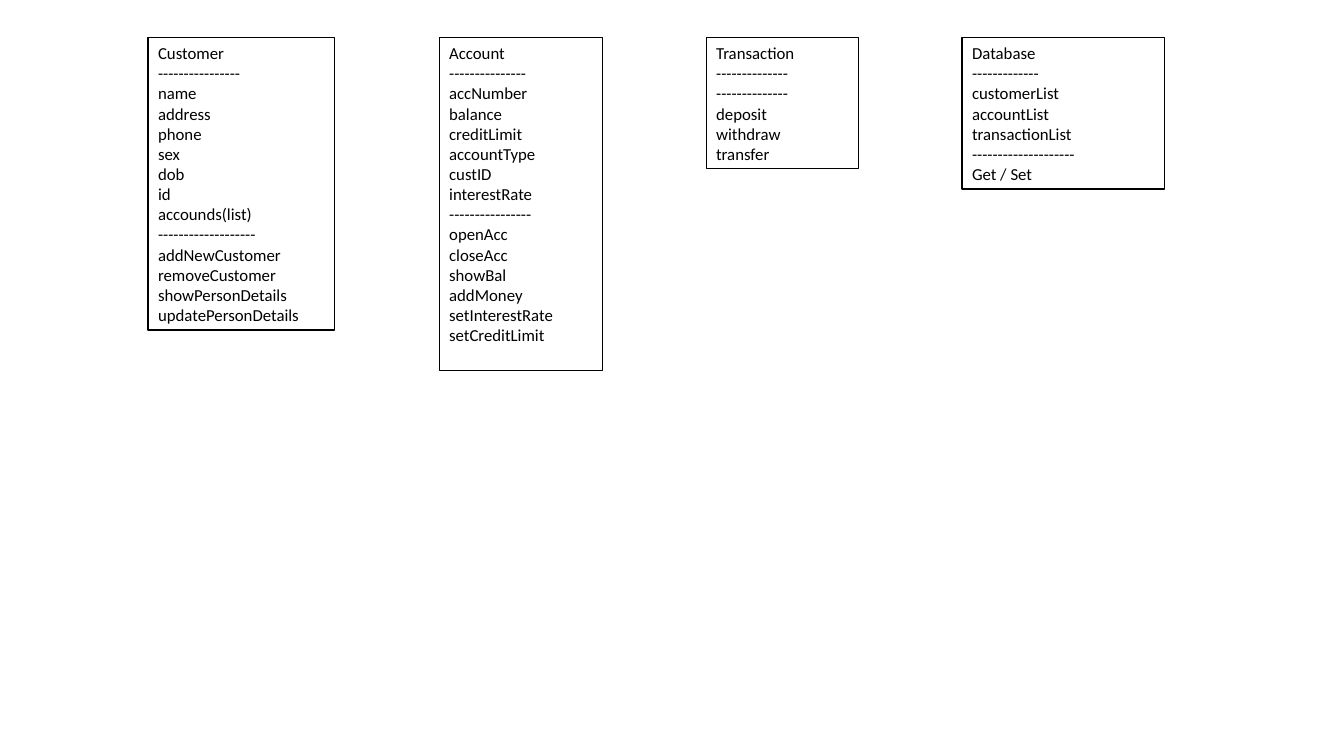
from dataclasses import dataclass
from pptx import Presentation
from pptx import util as u
from pptx.dml.color import RGBColor
from pptx.enum import shapes, text

# Each class: left, width, spare rows, then name, fields and methods.
# A number stands for a rule of that many dashes.
CLASSES = [
    (1.47, 1.85, 0, [
        "Customer", 16,
        "name", "address", "phone", "sex", "dob", "id", "accounds(list)", 19,
        "addNewCustomer", "removeCustomer", "showPersonDetails",
        "updatePersonDetails"]),
    (4.36, 1.62, 1, [
        "Account", 15,
        "accNumber", "balance", "creditLimit", "accountType", "custID",
        "interestRate", 16,
        "openAcc", "closeAcc", "showBal", "addMoney", "setInterestRate",
        "setCreditLimit"]),
    (7.01, 1.51, 0, [
        "Transaction", 14, 14,
        "deposit", "withdraw", "transfer"]),
    (9.55, 2.01, 0, [
        "Database", 13,
        "customerList", "accountList", "transactionList", 20,
        "Get / Set"]),
]

WIDE, HIGH = 13.34, 7.5
TOP, ROW = 0.05 * HIGH, 0.2
PAD_X, PAD_Y = 0.1, 0.05


@dataclass(frozen=True)
class Theme:
    ink: RGBColor = RGBColor(0, 0, 0)
    paper: RGBColor = RGBColor(255, 255, 255)
    font: str = "Calibri"
    size: int = 12
    line: int = 1


THEME = Theme()


def write(frame, rows, size=THEME.size, color=THEME.ink, font=THEME.font):
    """Fill a text frame with one left-aligned paragraph per row."""
    frame.word_wrap = True
    frame.auto_size = text.MSO_AUTO_SIZE.NONE
    frame.vertical_anchor = text.MSO_ANCHOR.TOP
    frame.margin_left = frame.margin_right = u.Inches(PAD_X)
    frame.margin_top = frame.margin_bottom = u.Inches(PAD_Y)
    frame.text = "\n".join(rows)
    for para in frame.paragraphs:
        para.alignment = text.PP_ALIGN.LEFT
        for run in para.runs:
            run.font.size = u.Pt(size)
            run.font.name = font
            run.font.color.rgb = color


def draw_class(slide, left, width, spare, items):
    rows = ["-" * item if isinstance(item, int) else item for item in items]
    high = 2 * PAD_Y + ROW * (len(rows) + spare)
    box = slide.shapes.add_shape(
        shapes.MSO_SHAPE.RECTANGLE,
        *(u.Inches(n) for n in (left, TOP, width, high)))
    box.shadow.inherit = False
    box.fill.solid()
    box.fill.fore_color.rgb = THEME.paper
    box.line.color.rgb = THEME.ink
    box.line.width = u.Pt(THEME.line)
    write(box.text_frame, rows)


def main():
    deck = Presentation()
    deck.slide_width, deck.slide_height = u.Inches(WIDE), u.Inches(HIGH)
    slide = deck.slides.add_slide(deck.slide_layouts.get_by_name("Blank"))
    for entry in CLASSES:
        draw_class(slide, *entry)
    deck.save("out.pptx")


if __name__ == "__main__":
    main()
